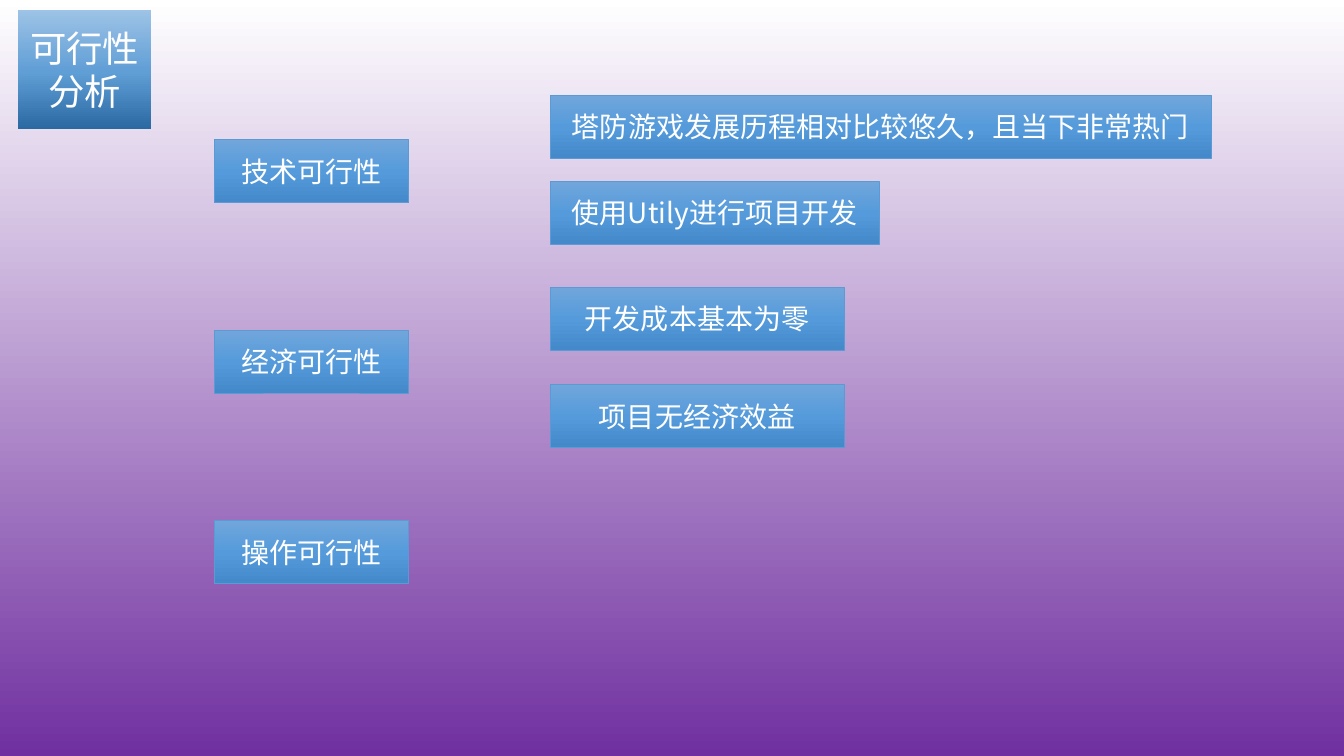
from lxml import etree
from pptx import Presentation
from pptx.dml.color import RGBColor
from pptx.enum.shapes import MSO_SHAPE
from pptx.enum.text import MSO_ANCHOR, MSO_AUTO_SIZE, PP_ALIGN
from pptx.oxml.ns import qn
from pptx.util import Pt

RECTANGLE = MSO_SHAPE.RECTANGLE
CENTER = PP_ALIGN.CENTER
MIDDLE = MSO_ANCHOR.MIDDLE
NO_AUTOFIT = MSO_AUTO_SIZE.NONE
TITLE_ONLY = 5
UPWARD, DOWNWARD = 90, 270

COLORS = {
    "sky": "FFFFFF", "violet": "7030A0",
    "flag_dark": "2A69A2", "flag_mid": "609ED6", "flag_light": "9DC3E6",
    "box_light": "71A6DB", "box_mid": "559BDB", "box_dark": "448ACA",
    "border": "5B9BD5", "text": "FFFFFF",
}


class FeasibilitySlide:
    font = "Noto Sans CJK SC"
    title_size = 26
    box_size = 20
    box_height = 45

    def __init__(self, prs):
        self.slide = prs.slides.add_slide(prs.slide_layouts[TITLE_ONLY])

    def gradient(self, fill, element, stops, angle):
        """Fill with (percent, colour name) stops; element holds the fill's XML."""
        fill.gradient()
        fill.gradient_angle = angle
        stop_list = element.find(".//" + qn("a:gsLst"))
        for stop in list(stop_list):
            stop_list.remove(stop)
        for percent, color in stops:
            stop = etree.SubElement(stop_list, qn("a:gs"), pos=str(percent * 1000))
            etree.SubElement(stop, qn("a:srgbClr"), val=COLORS[color])

    def background(self):
        self.gradient(self.slide.background.fill, self.slide.element,
                      [(0, "sky"), (100, "violet")], DOWNWARD)

    def label(self, shape, text, size):
        frame = shape.text_frame
        frame.word_wrap = True
        frame.auto_size = NO_AUTOFIT
        frame.vertical_anchor = MIDDLE
        paragraph = frame.paragraphs[0]
        paragraph.alignment = CENTER
        run = paragraph.add_run()
        run.text = text
        run.font.size = Pt(size)
        run.font.name = self.font
        run.font.color.rgb = RGBColor.from_string(COLORS["text"])
        etree.SubElement(run.font._element, qn("a:ea"), typeface=self.font)

    def title_flag(self, text, left, top, width, height):
        """Give the title placeholder a wavy document outline."""
        flag = self.slide.shapes.title
        flag.left, flag.top = Pt(left), Pt(top)
        flag.width, flag.height = Pt(width), Pt(height)
        outline = etree.SubElement(flag.element.spPr, qn("a:prstGeom"),
                                   prst="flowChartDocument")
        etree.SubElement(outline, qn("a:avLst"))
        self.gradient(flag.fill, flag.element,
                      [(0, "flag_dark"), (48, "flag_mid"), (100, "flag_light")], UPWARD)
        self.label(flag, text, self.title_size)

    def box(self, text, left, top, width):
        box = self.slide.shapes.add_shape(
            RECTANGLE, Pt(left), Pt(top), Pt(width), Pt(self.box_height))
        box.shadow.inherit = False
        self.gradient(box.fill, box.element,
                      [(0, "box_light"), (50, "box_mid"), (100, "box_dark")], DOWNWARD)
        box.line.color.rgb = RGBColor.from_string(COLORS["border"])
        box.line.width = Pt(0.5)
        self.label(box, text, self.box_size)


def main():
    prs = Presentation()
    prs.slide_width, prs.slide_height = Pt(960), Pt(540)
    page = FeasibilitySlide(prs)
    page.background()
    page.title_flag("可行性分析", 13, 7, 95, 85)

    for row, aspect in enumerate(["技术可行性", "经济可行性", "操作可行性"]):
        page.box(aspect, 153, 99.75 + row * 136, 139)

    findings = [
        ("塔防游戏发展历程相对比较悠久，且当下非常热门", 68, 472),
        ("使用Utily进行项目开发", 129.5, 235),
        ("开发成本基本为零", 205, 210),
        ("项目无经济效益", 274.5, 210),
    ]
    for finding, top, width in findings:
        page.box(finding, 393, top, width)

    prs.save("out.pptx")


if __name__ == "__main__":
    main()
